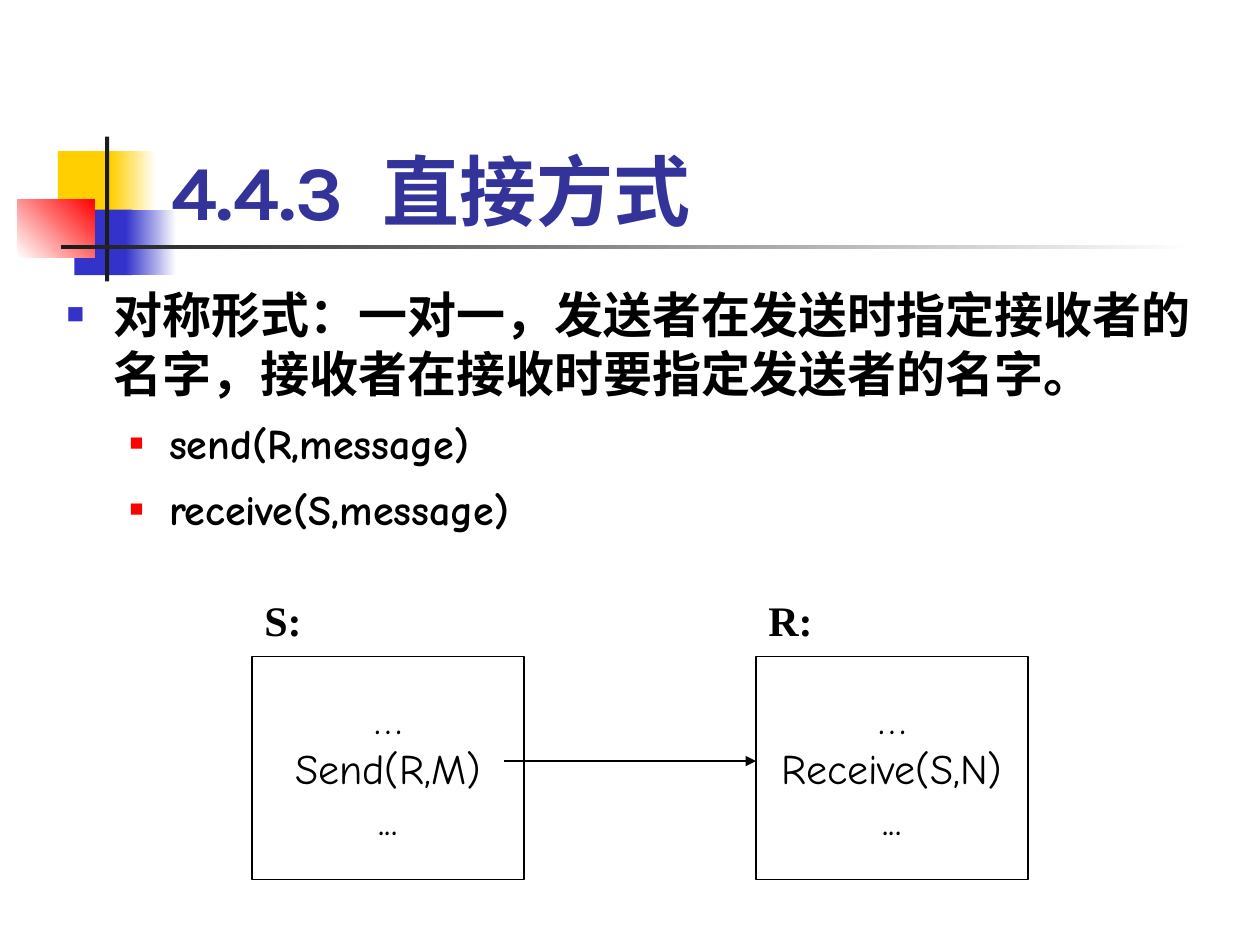
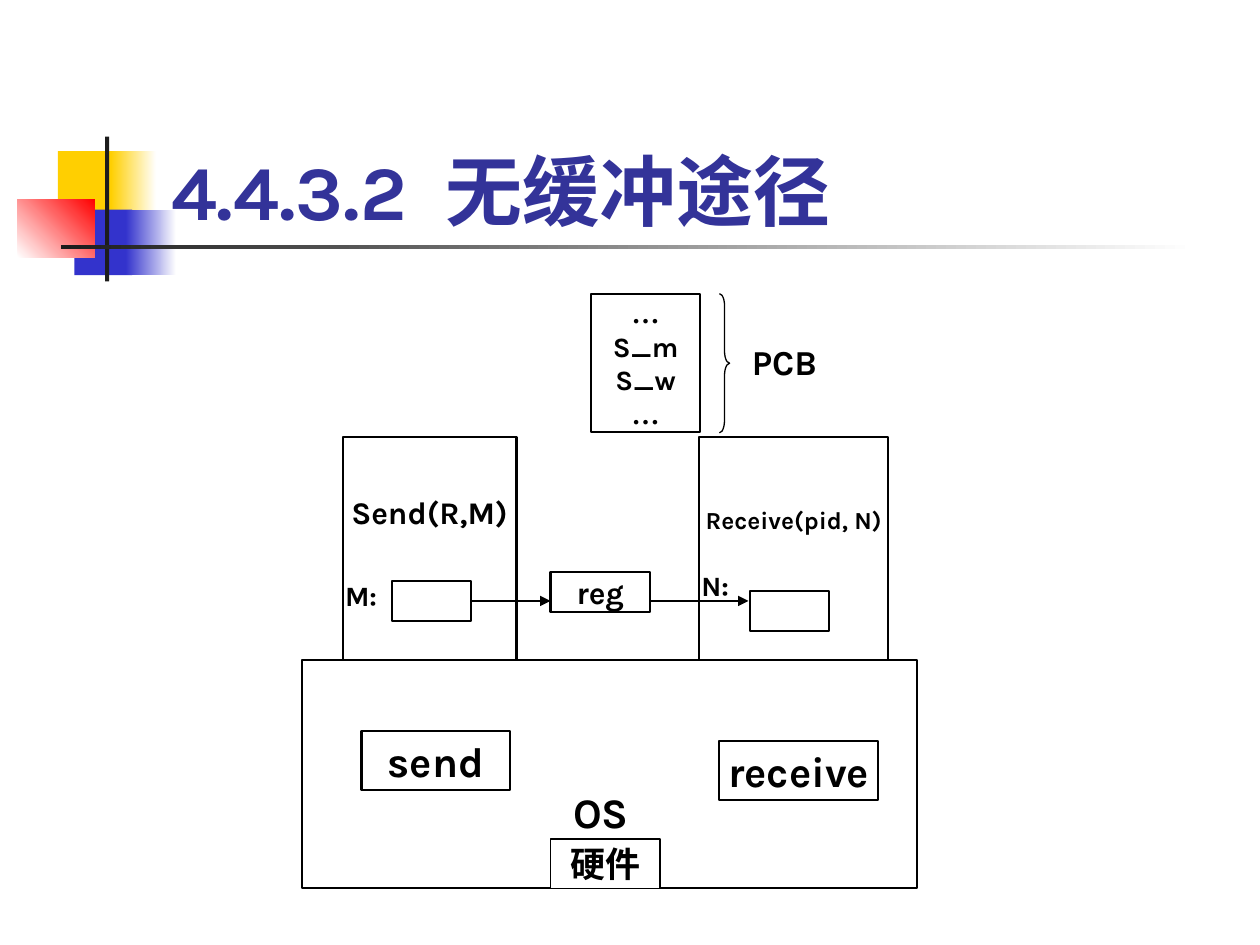
"""Build two slides on direct message passing between processes."""
import pptx
import pptx.dml.color
import pptx.enum.shapes
import pptx.enum.text
import pptx.util
from lxml import etree
from pptx.oxml.ns import qn

Pt = pptx.util.Pt
colour = pptx.dml.color.RGBColor.from_string
SHAPES = pptx.enum.shapes.MSO_SHAPE
ANCHOR = pptx.enum.text.MSO_ANCHOR
ALIGN = pptx.enum.text.PP_ALIGN
BLACK, WHITE, BLUE, RED = "000000", "FFFFFF", "3333CC", "FF0000"
YELLOW, INK, TITLE = "FFCF01", "1C1C1C", "333399"


def add_block(page, place, fill=WHITE, line_width=None, fade_to=None, angle=0):
    """Add a rectangle with a plain or fading fill."""
    block = page.shapes.add_shape(SHAPES.RECTANGLE, *map(Pt, place))
    block.shadow.inherit = False
    if fade_to:
        block.fill.gradient()
        block.fill.gradient_angle = angle
        for stop, shade, position in zip(block.fill.gradient_stops, (fill, fade_to), (0, 1)):
            stop.color.rgb = colour(shade)
            stop.position = position
    else:
        block.fill.solid()
        block.fill.fore_color.rgb = colour(fill)
    if line_width:
        block.line.color.rgb = colour(BLACK)
        block.line.width = Pt(line_width)
    else:
        block.line.fill.background()
    return block


def write(shape, lines, size, font="Karla", bold=True, shade=BLACK, align=ALIGN.LEFT,
          anchor=ANCHOR.TOP, wrap=True):
    """Fill a shape with one formatted paragraph per line."""
    frame = shape.text_frame
    frame.text = "\n".join(lines)
    frame.word_wrap = wrap
    frame.vertical_anchor = anchor
    for para in frame.paragraphs:
        para.alignment = align
        for span in para.runs:
            span.font.size = Pt(size)
            span.font.bold = bold
            span.font.color.rgb = colour(shade)
            span.font.name = font
            etree.SubElement(span.font._element, qn("a:ea"), typeface=font)
    return frame


CENTRED = {"align": ALIGN.CENTER, "anchor": ANCHOR.MIDDLE, "wrap": False}

deck = pptx.Presentation()
deck.slide_width, deck.slide_height = Pt(720), Pt(540)

pages = []
for number, name in (("4.4.3", "直接方式"), ("4.4.3.2", "无缓冲途径")):
    page = deck.slides.add_slide(deck.slide_layouts[6])
    pages.append(page)
    add_block(page, (33.1, 86.4, 34.6, 37.4), YELLOW)
    add_block(page, (63.4, 86.4, 25.9, 37.4), YELLOW, fade_to=WHITE)
    add_block(page, (42.5, 119.8, 33.1, 37.4), BLUE)
    add_block(page, (72, 119.8, 28.8, 37.4), BLUE, fade_to=WHITE)
    add_block(page, (10, 113.8, 44.3, 33.1), WHITE, fade_to=RED, angle=45)
    add_block(page, (60, 78, 2.4, 82.8), INK)
    add_block(page, (34.9, 140.1, 648, 2.5), INK, fade_to=WHITE)
    title = page.shapes.add_textbox(Pt(90.7), Pt(48.2), Pt(613.4), Pt(90))
    title.text_frame.text = number
    for part in (" ", name):
        title.text_frame.paragraphs[0].add_run().text = part
    for span in title.text_frame.paragraphs[0].runs:
        span.font.size = Pt(44)
        span.font.bold = True
        span.font.color.rgb = colour(TITLE)
        span.font.name = "Karla"
        etree.SubElement(span.font._element, qn("a:ea"), typeface="Karla")
    title.text_frame.paragraphs[0].runs[1].font._element.set("spc", "1100")
    title.text_frame.vertical_anchor = ANCHOR.BOTTOM
    title.text_frame.word_wrap = True

direct_page, unbuffered_page = pages

body = direct_page.shapes.add_textbox(Pt(31), Pt(159.1), Pt(673.9), Pt(157))
write(body, ["对称形式：一对一，发送者在发送时指定接收者的名字，接收者在接收时要指定发送者的名字。",
             "send(R,message)", "receive(S,message)"], 28)
for index, para in enumerate(body.text_frame.paragraphs):
    margin, hanging, bullet_shade, percent = (58.5, 22.5, RED, 55) if index else (27, 27, BLUE, 60)
    if index:
        para.level = 1
        para.line_spacing = 1.1
        para.space_before = Pt(6)
        para.runs[0].font.size = Pt(24)
        para.runs[0].font.name = "Comic Neue"
    properties = para._p.get_or_add_pPr()
    properties.set("marL", str(Pt(margin)))
    properties.set("indent", str(-Pt(hanging)))
    bullet_colour = etree.SubElement(properties, qn("a:buClr"))
    etree.SubElement(bullet_colour, qn("a:srgbClr"), val=bullet_shade)
    etree.SubElement(properties, qn("a:buSzPct"), val=str(percent * 1000))
    etree.SubElement(properties, qn("a:buFont"), typeface="Times New Roman")
    etree.SubElement(properties, qn("a:buChar"), char="■")

for left, call in ((144, "Send(R,M)"), (432, "Receive(S,N)")):
    process = add_block(direct_page, (left, 375.1, 155.5, 127.4), line_width=0.75)
    write(process, ["…", call, "..."], 24, "Comic Neue", False, **CENTRED)

add_block(unbuffered_page, (172.8, 377.3, 351.4, 130.3), line_width=1.25)
for left, width, call, size in ((195.8, 99.4, "Send(R,M)", 18), (399.6, 108, "Receive(pid, N)", 14)):
    process = add_block(unbuffered_page, (left, 249.8, width, 127.4), line_width=1.25)
    frame = write(process, [call], size, **CENTRED)
    frame.margin_bottom = Pt(3.6 + 2 * 1.17 * size)
for left, top in ((223.9, 331.9), (428.4, 337.7)):
    add_block(unbuffered_page, (left, top, 45.4, 23), line_width=1.25)

for place, line_width, text, size in (
    ((314.6, 326.9, 56.9, 23), 1.25, "reg", 18),
    ((206.6, 417.6, 85, 33.8), 1.25, "send", 24),
    ((411.1, 423.4, 90.7, 33.8), 1.25, "receive", 24),
    ((314.6, 479.5, 62.6, 28.1), 0.75, "硬件", 20),
):
    write(add_block(unbuffered_page, place, line_width=line_width), [text], size, **CENTRED)

control_block = add_block(unbuffered_page, (337.7, 167.8, 62.6, 79.2), line_width=1.25)
control_lines = write(control_block, ["…", "S_m", "S_w", "…"], 16, **CENTRED).paragraphs
for para in (control_lines[0], control_lines[-1]):
    para.runs[0].font.name = "Times New Roman"

brace = unbuffered_page.shapes.add_shape(SHAPES.RIGHT_BRACE, Pt(411.1), Pt(167.8), Pt(5.8), Pt(79.5))
brace.shadow.inherit = False
brace.fill.background()
brace.line.color.rgb = colour(BLACK)
brace.line.width = Pt(0.75)
brace.adjustments[0] = 1.2

for page, place, text, size, font in (
    (direct_page, (144, 336.2, 41.8, 36), "S:", 24, "Times New Roman"),
    (direct_page, (432, 336.2, 54, 36), "R:", 24, "Times New Roman"),
    (unbuffered_page, (190.1, 326.9, 33.8, 26.6), "M:", 16, "Karla"),
    (unbuffered_page, (393.8, 321.1, 33.8, 26.6), "N:", 16, "Karla"),
    (unbuffered_page, (422.6, 190.8, 62.6, 31.7), "PCB", 20, "Karla"),
    (unbuffered_page, (320.4, 445.7, 62.6, 36), "OS", 24, "Karla"),
):
    write(page.shapes.add_textbox(*map(Pt, place)), [text], size, font)

for page, start, end, height in (
    (direct_page, 288, 432, 434.9),
    (unbuffered_page, 269.3, 314.6, 343.4),
    (unbuffered_page, 371.5, 427.7, 343.4),
):
    arrow = page.shapes.add_connector(
        pptx.enum.shapes.MSO_CONNECTOR.STRAIGHT, Pt(start), Pt(height), Pt(end), Pt(height))
    arrow.line.color.rgb = colour(BLACK)
    arrow.line.width = Pt(0.75)
    etree.SubElement(arrow.line._get_or_add_ln(), qn("a:tailEnd"), type="triangle")
    etree.SubElement(arrow._element.spPr, qn("a:effectLst"))

deck.save("out.pptx")
